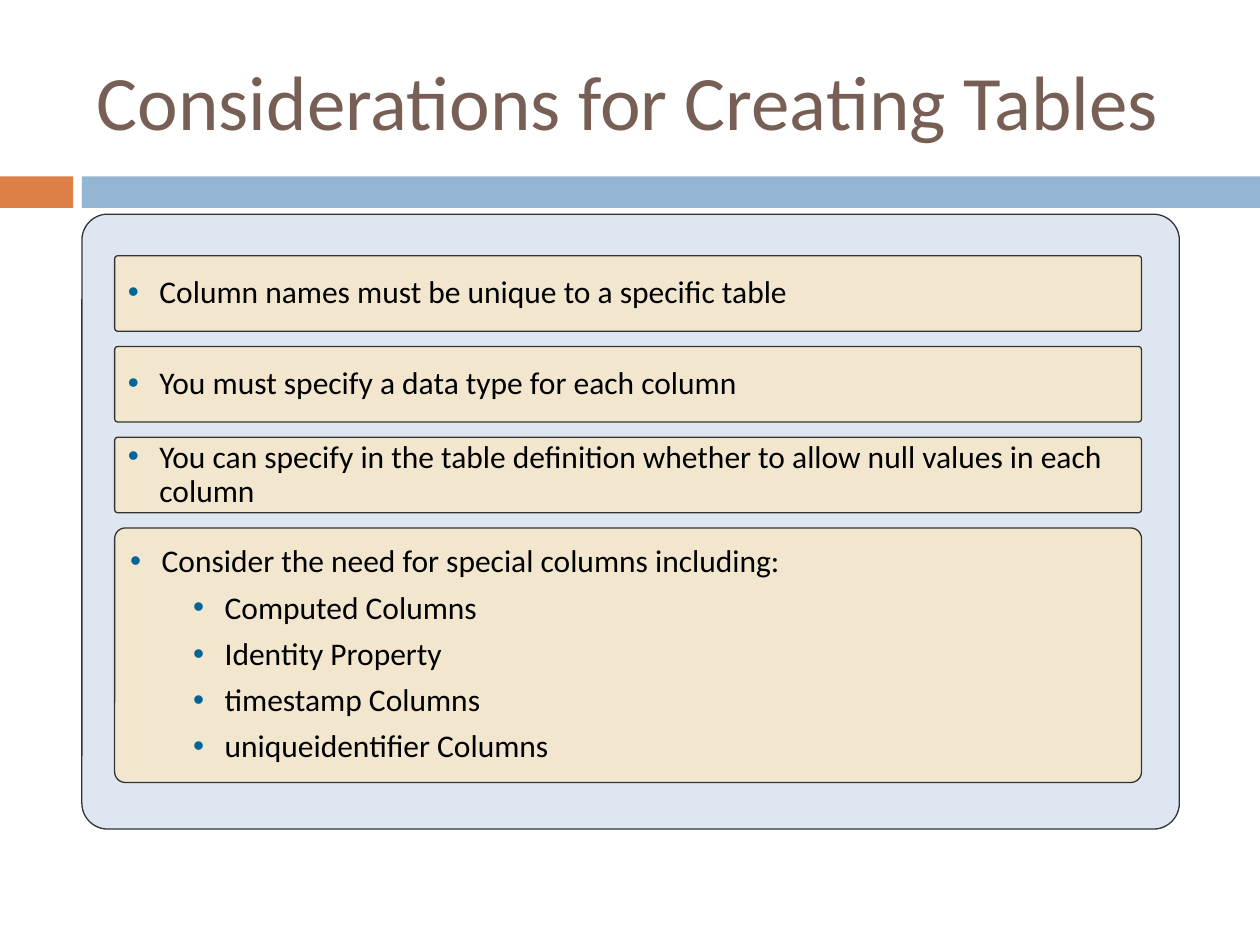
from lxml import etree
from pptx import Presentation
from pptx.dml.color import RGBColor
from pptx.enum import shapes, text
from pptx.oxml import ns
from pptx.util import Inches, Pt

BROWN = RGBColor(0x77, 0x5F, 0x55)
ORANGE = RGBColor(0xDD, 0x80, 0x47)
BLUE = RGBColor(0x94, 0xB6, 0xD2)
PALE_BLUE = RGBColor(0xDE, 0xE7, 0xF1)
CREAM = RGBColor(0xF2, 0xE7, 0xCE)
OUTLINE = RGBColor(0x33, 0x33, 0x33)
BLACK = RGBColor(0, 0, 0)
BULLET = "006699"
FONT = "Calibri"

TITLE = "Considerations for Creating Tables"
# Each box: height, then (level, text) lines
BOXES = [
    (0.6, [(0, "Column names must be unique to a specific table")]),
    (0.6, [(0, "You must specify a data type for each column")]),
    (0.6, [(0, "You can specify in the table definition whether to allow "
               "null values in each column")]),
    (2.02, [(0, "Consider the need for special columns including:"),
            (1, "Computed Columns"),
            (1, "Identity Property"),
            (1, "timestamp Columns"),
            (1, "uniqueidentifier Columns")]),
]
BOX_LEFT, BOX_TOP, BOX_WIDTH, BOX_GAP = 0.91, 2.03, 8.15, 0.12


def add_box(slide, at, fill, rounded=True):
    kind = shapes.MSO_SHAPE.ROUNDED_RECTANGLE if rounded else shapes.MSO_SHAPE.RECTANGLE
    sp = slide.shapes.add_shape(kind, *map(Inches, at))
    sp.shadow.inherit = False
    sp.fill.solid()
    sp.fill.fore_color.rgb = fill
    if rounded:
        sp.adjustments[0] = 0.042
        sp.line.color.rgb = OUTLINE
        sp.line.width = Pt(0.75)
    else:
        sp.line.fill.background()
    return sp


def add_run(p, words, size, color):
    r = p.add_run()
    r.text = words
    r.font.name = FONT
    r.font.size = Pt(size)
    r.font.color.rgb = color


def set_bullet(p, level):
    p.level = level
    pPr = p._p.get_or_add_pPr()
    pPr.set("marL", str(Inches(0.25 + 0.5 * level)))
    pPr.set("indent", str(Inches(-0.25)))
    color = etree.SubElement(pPr, ns.qn("a:buClr"))
    etree.SubElement(color, ns.qn("a:srgbClr"), val=BULLET)
    etree.SubElement(pPr, ns.qn("a:buFont"), typeface="Arial")
    etree.SubElement(pPr, ns.qn("a:buChar"), char="•")


def fill_text(sp, lines):
    tf = sp.text_frame
    tf.word_wrap = True
    tf.vertical_anchor = text.MSO_ANCHOR.MIDDLE
    for i, (level, words) in enumerate(lines):
        p = tf.add_paragraph() if i else tf.paragraphs[0]
        p.alignment = text.PP_ALIGN.LEFT
        p.line_spacing = 0.9
        p.space_before = Pt(7)
        set_bullet(p, level)
        add_run(p, words, 18, BLACK)


def main():
    prs = Presentation()
    prs.slide_width, prs.slide_height = Inches(10), Inches(7.5)
    s = prs.slides.add_slide(prs.slide_layouts[6])

    add_box(s, (0, 1.4, 0.58, 0.25), ORANGE, rounded=False)
    add_box(s, (0.65, 1.4, 9.35, 0.25), BLUE, rounded=False)

    title = s.shapes.add_textbox(*map(Inches, (0.67, 0.25, 8.92, 1.08)))
    title.text_frame.word_wrap = True
    title.text_frame.vertical_anchor = text.MSO_ANCHOR.MIDDLE
    add_run(title.text_frame.paragraphs[0], TITLE, 44, BROWN)

    add_box(s, (0.65, 1.7, 8.71, 4.88), PALE_BLUE)
    top = BOX_TOP
    for height, lines in BOXES:
        fill_text(add_box(s, (BOX_LEFT, top, BOX_WIDTH, height), CREAM), lines)
        top += height + BOX_GAP

    prs.save("out.pptx")


if __name__ == "__main__":
    main()
